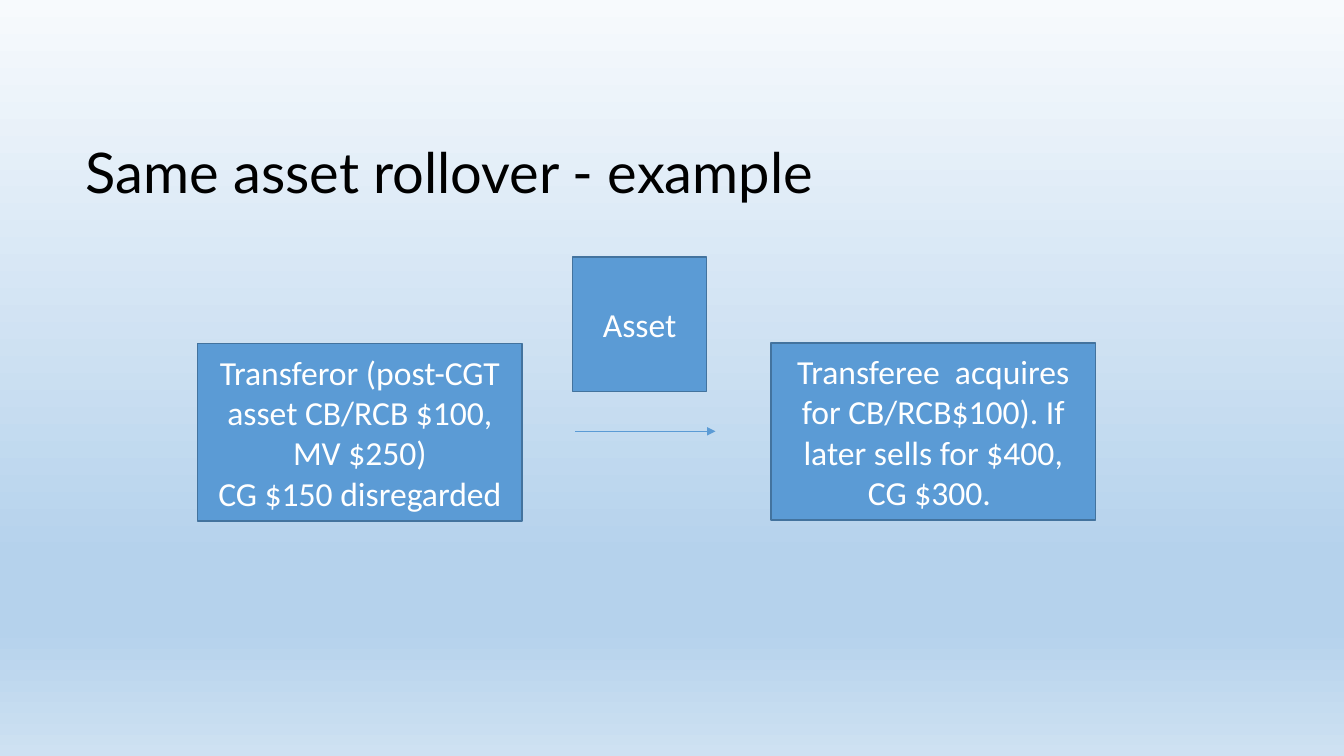
from dataclasses import dataclass

from lxml import etree
from pptx import Presentation
from pptx import util as u
from pptx.dml import color
from pptx.enum import shapes, text
from pptx.oxml import ns
from pptx.slide import Slide
from pptx.text.text import TextFrame

BLUE = "5B9BD5"
OUTLINE = "43739E"
WHITE = "FFFFFF"
BLACK = "000000"
BACKGROUND_STOPS = [(0, "F7FAFD"), (74, "B5D2EC"), (83, "B5D2EC"), (100, "CEE1F2")]


@dataclass
class Box:
    left: float
    top: float
    width: float
    height: float
    wording: str


BOXES = [
    Box(4.98, 8.66, 8.18, 4.47,
        "Transferor (post-CGT asset CB/RCB $100, MV $250)\nCG $150 disregarded"),
    Box(19.43, 8.64, 8.18, 4.47,
        "Transferee  acquires for CB/RCB$100). If later sells for $400, CG $300. "),
    Box(14.43, 6.48, 3.38, 3.38, "Asset"),
]


def rgb(value: str) -> color.RGBColor:
    return color.RGBColor.from_string(value)


def format_text(frame: TextFrame, font: str, size: float, hue: str,
                align: text.PP_ALIGN) -> None:
    frame.word_wrap = True
    for para in frame.paragraphs:
        para.alignment = align
        for span in para.runs:
            span.font.name = font
            span.font.size = u.Pt(size)
            span.font.color.rgb = rgb(hue)


def paint_background(page: Slide) -> None:
    fill = page.background.fill
    fill.gradient()
    fill.gradient_angle = 270
    stops = page.element.find(".//" + ns.qn("a:gsLst"))
    stops.clear()
    for percent, hue in BACKGROUND_STOPS:
        stop = etree.SubElement(stops, ns.qn("a:gs"), pos=str(percent * 1000))
        etree.SubElement(stop, ns.qn("a:srgbClr"), val=hue)


def write_title(page: Slide) -> None:
    title = page.shapes.title
    title.left, title.top = u.Cm(1.91), u.Cm(2.69)
    title.width, title.height = u.Cm(29.95), u.Cm(2.62)
    frame = title.text_frame
    frame.text = "Same asset rollover - example"
    frame.auto_size = text.MSO_AUTO_SIZE.NONE
    frame.vertical_anchor = text.MSO_ANCHOR.BOTTOM
    frame.paragraphs[0].line_spacing = 0.9
    format_text(frame, "Lato", 40, BLACK, text.PP_ALIGN.LEFT)


def draw_box(page: Slide, box: Box) -> None:
    shape = page.shapes.add_shape(
        shapes.MSO_SHAPE.RECTANGLE,
        u.Cm(box.left), u.Cm(box.top), u.Cm(box.width), u.Cm(box.height))
    shape.shadow.inherit = False
    shape.fill.solid()
    shape.fill.fore_color.rgb = rgb(BLUE)
    shape.line.color.rgb = rgb(OUTLINE)
    shape.line.width = u.Pt(1)
    frame = shape.text_frame
    frame.text = box.wording
    frame.vertical_anchor = text.MSO_ANCHOR.MIDDLE
    format_text(frame, "Calibri", 24, WHITE, text.PP_ALIGN.CENTER)


def draw_arrow(page: Slide, start: float, end: float, level: float) -> None:
    arrow = page.shapes.add_connector(
        shapes.MSO_CONNECTOR.STRAIGHT,
        u.Cm(start), u.Cm(level), u.Cm(end), u.Cm(level))
    arrow.line.color.rgb = rgb(BLUE)
    arrow.line.width = u.Pt(0.5)
    etree.SubElement(arrow.line._get_or_add_ln(), ns.qn("a:tailEnd"), type="triangle")
    etree.SubElement(arrow.element.spPr, ns.qn("a:effectLst"))


deck = Presentation()
deck.slide_width, deck.slide_height = u.Cm(33.87), u.Cm(19.05)
page = deck.slides.add_slide(deck.slide_layouts.get_by_name("Title Only"))
paint_background(page)
write_title(page)
for box in BOXES:
    draw_box(page, box)
draw_arrow(page, start=14.5, end=18.03, level=10.87)
deck.save("out.pptx")
